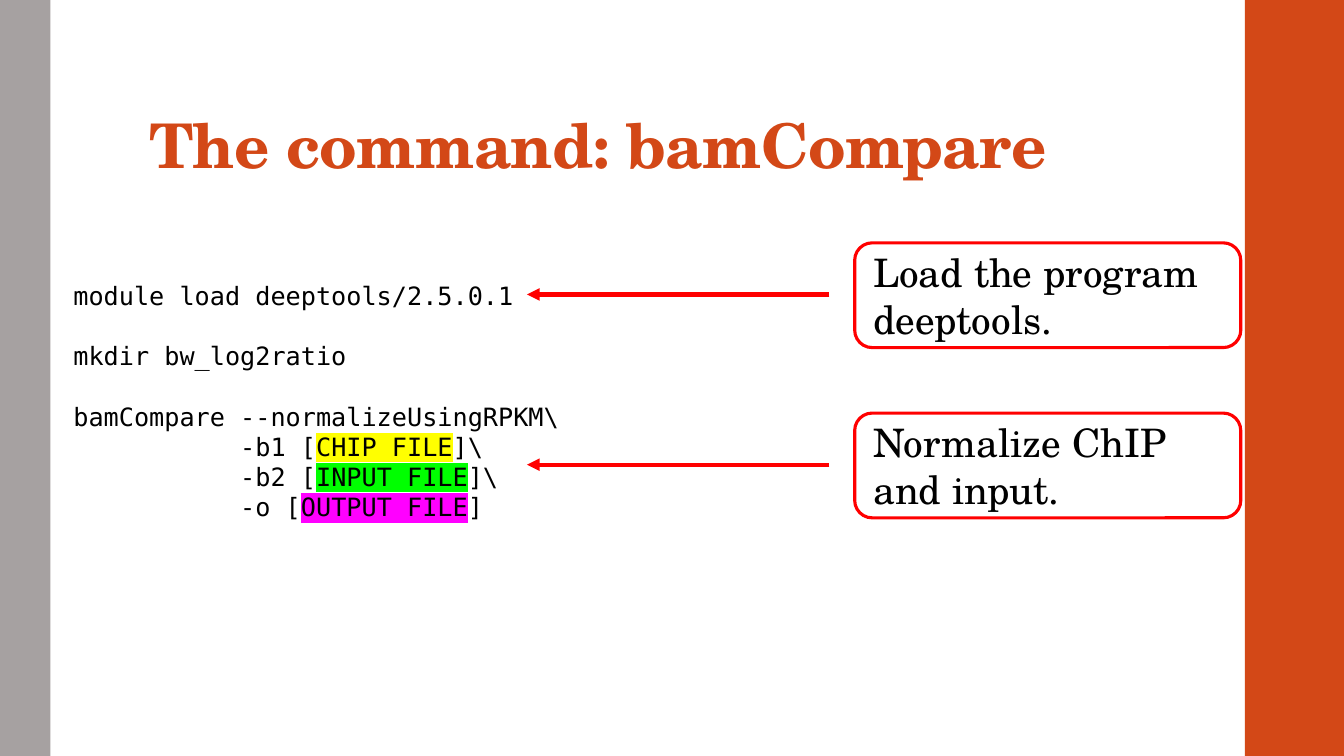
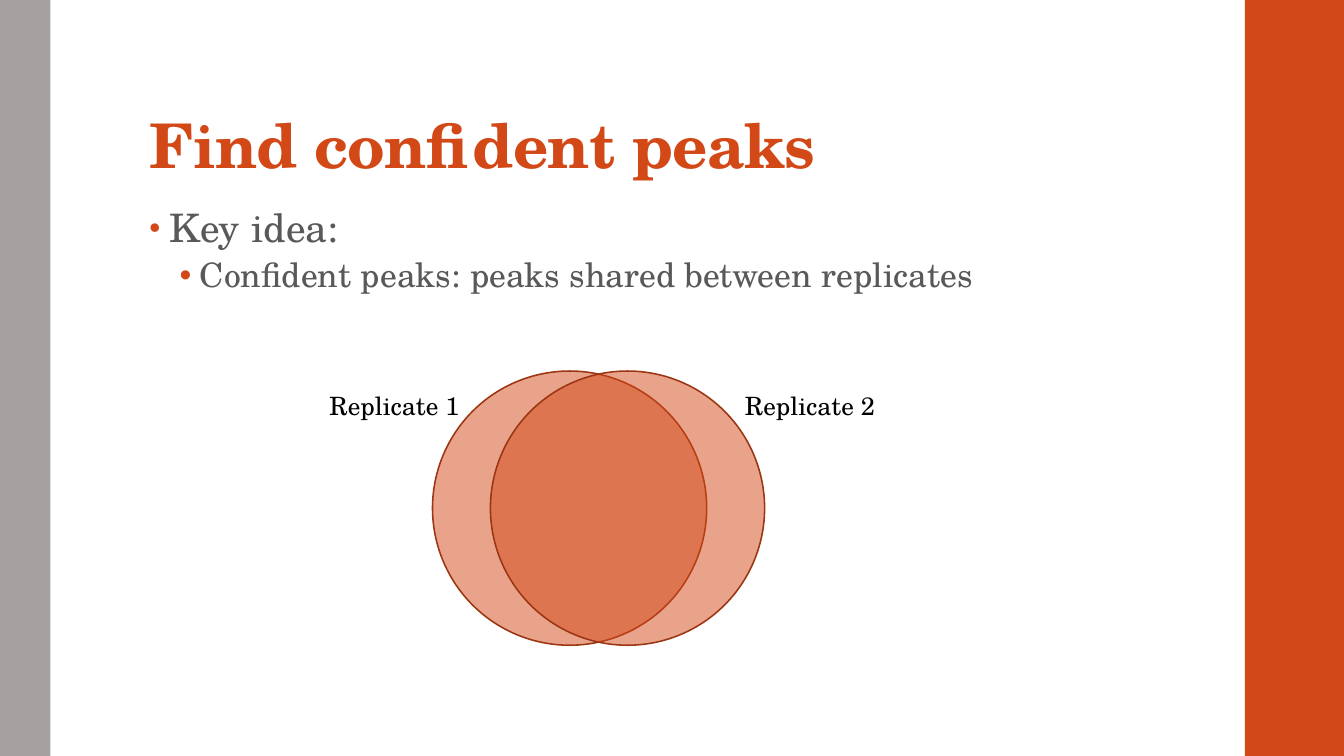
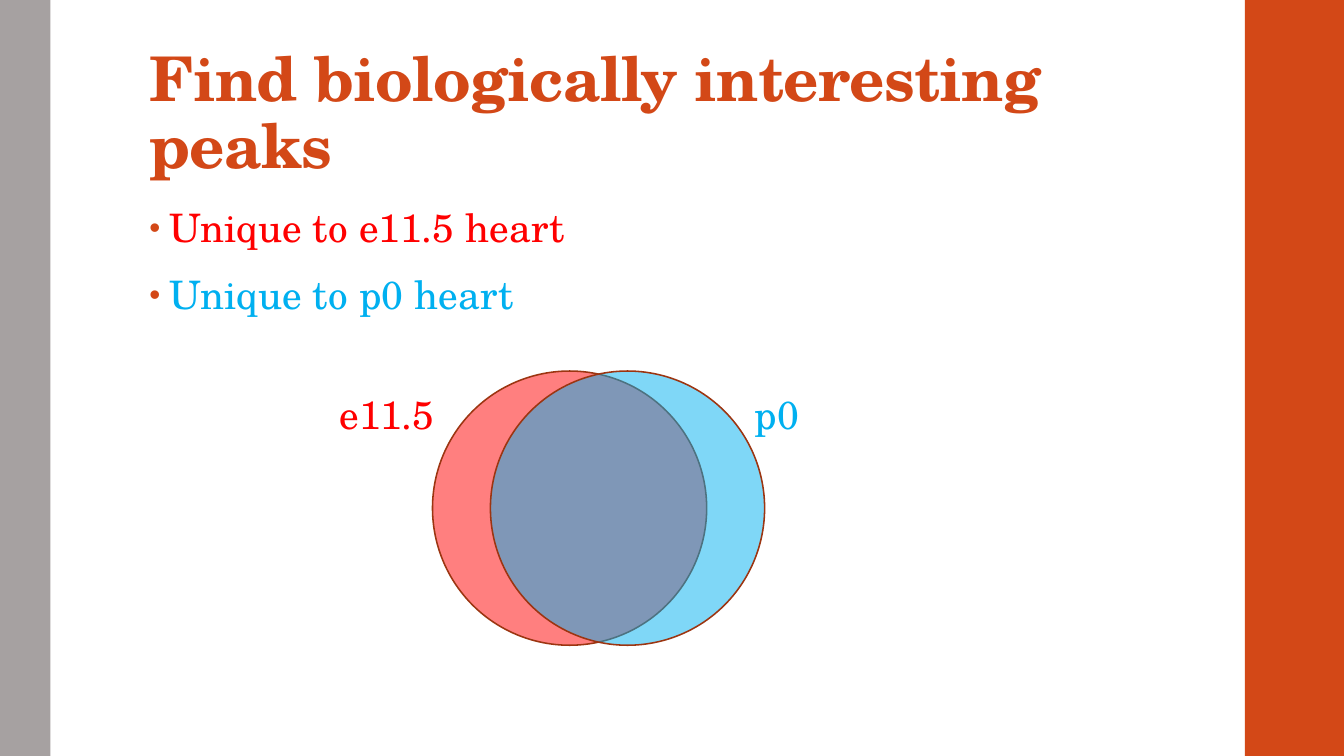
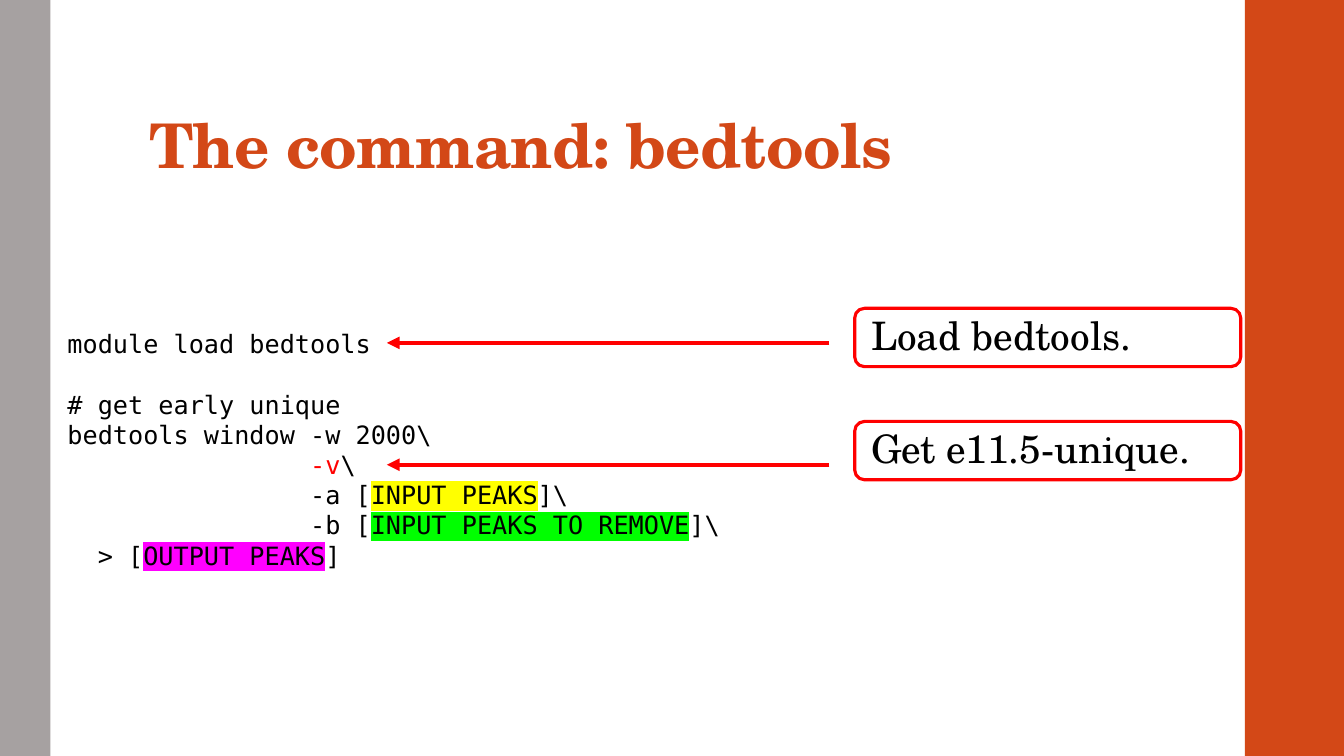
import pptx
import pptx.util
from pptx.util import Cm, Pt
from pptx.dml.color import RGBColor
from pptx.enum.shapes import MSO_CONNECTOR, MSO_SHAPE
from pptx.enum.text import MSO_ANCHOR, MSO_AUTO_SIZE, PP_ALIGN
from pptx.oxml.ns import qn
from lxml import etree

# Shared style
ORANGE = RGBColor(0xD3, 0x48, 0x17)
RUST = RGBColor(0x9C, 0x35, 0x11)
BAND_GRAY = RGBColor(0xA6, 0xA1, 0xA1)
TEXT_GRAY = RGBColor(0x59, 0x59, 0x59)
BLACK = RGBColor(0, 0, 0)
RED = RGBColor(0xFF, 0, 0)
BLUE = RGBColor(0, 0xB0, 0xF0)
YELLOW = RGBColor(0xFF, 0xFF, 0)
GREEN = RGBColor(0, 0xFF, 0)
MAGENTA = RGBColor(0xFF, 0, 0xFF)
SERIF = "TeX Gyre Schola"
MONO = "DejaVu Sans Mono"
WIDTH, HEIGHT = Cm(33.87), Cm(19.05)
CODE_LINE = Pt(21.6)

# Bands: left, width, colour
BANDS = [(Cm(31.37), Cm(2.54), ORANGE), (Cm(0), Cm(1.27), BAND_GRAY)]

# Bullet levels: left indent, line spacing, space before and after, size, bullet percent, tracking
LEVELS = [
    (Cm(0.51), 0.95, Pt(14), Pt(2), Pt(28), 80, 0.1),
    (Cm(1.27), 0.9, Pt(3), Pt(3), Pt(24), 100, 0),
]
HANGING = Cm(0.51)

# Content: a code line is a list of (text, highlight, colour) parts; an empty line is a gap
BAM_CODE = [
    [("module load deeptools/2.5.0.1",)],
    [],
    [("mkdir bw_log2ratio",)],
    [],
    [("bamCompare --normalizeUsingRPKM\\",)],
    [("           -b1 [",), ("CHIP FILE", YELLOW), ("]\\",)],
    [("           -b2 [",), ("INPUT FILE", GREEN), ("]\\",)],
    [("           -o [",), ("OUTPUT FILE", MAGENTA), ("]",)],
]
BED_CODE = [
    [("module load bedtools",)],
    [],
    [("# get early unique",)],
    [("bedtools window -w 2000\\",)],
    [("                ",), ("-v", None, RED), ("\\",)],
    [("                -a [",), ("INPUT PEAKS", YELLOW), ("]\\",)],
    [("                -b [",), ("INPUT PEAKS TO REMOVE", GREEN), ("]\\",)],
    [("  > [",), ("OUTPUT PEAKS", MAGENTA), ("]",)],
]
# Callouts: text, box top, arrow height
SLIDES = [
    {"title": "The command: bamCompare", "code": BAM_CODE,
     "code_box": (Cm(1.6), Cm(6.93), Cm(27.31), Cm(6.4)),
     "callout_height": Cm(2.64), "arrow_end": Cm(13.28),
     "callouts": [("Load the program deeptools.", Cm(6.12), Cm(7.42)),
                  ("Normalize ChIP and input.", Cm(10.41), Cm(11.71))]},
    {"title": "Find confident peaks",
     "bullets": [("Key idea:", 0, TEXT_GRAY),
                 ("Confident peaks: peaks shared between replicates", 1, TEXT_GRAY)],
     "circles": [ORANGE, ORANGE], "label_size": Pt(18),
     "labels": [("Replicate 1", Cm(8.05), BLACK), ("Replicate 2", Cm(18.52), BLACK)]},
    {"title": "Find biologically interesting peaks",
     "bullets": [("Unique to e11.5 heart", 0, RED), ("Unique to p0 heart", 0, BLUE)],
     "circles": [RED, BLUE], "label_size": Pt(28),
     "labels": [("e11.5", Cm(8.31), RED), ("p0", Cm(18.77), BLUE)]},
    {"title": "The command: bedtools", "code": BED_CODE,
     "code_box": (Cm(1.45), Cm(8.15), Cm(31.01), Cm(7.95)),
     "callout_height": Cm(1.47), "arrow_end": Cm(9.75),
     "callouts": [("Load bedtools.", Cm(7.77), Cm(8.64)),
                  ("Get e11.5-unique.", Cm(10.62), Cm(11.71))]},
]


def set_font(paragraph, name, size, color, bold=False):
    font = paragraph.font
    font.name, font.size, font.bold = name, size, bold
    font.color.rgb = color


def set_tracking(paragraph, points):
    for run in paragraph.runs:
        run._r.get_or_add_rPr().set("spc", str(round(points * 100)))


def place(shape, left, top, width, height):
    shape.left, shape.top, shape.width, shape.height = left, top, width, height


def add_plain_shape(slide, kind, left, top, width, height):
    shape = slide.shapes.add_shape(kind, left, top, width, height)
    shape.shadow.inherit = False
    return shape


def add_master_bands(presentation, slide):
    """Draw the bands, then move them to the back of the slide master."""
    tree = presentation.slide_master.element.cSld.spTree
    for number, (left, width, color) in enumerate(BANDS):
        band = add_plain_shape(slide, MSO_SHAPE.RECTANGLE, left, 0, width, HEIGHT)
        band.fill.solid()
        band.fill.fore_color.rgb = color
        band.line.fill.background()
        band.element.nvSpPr.cNvPr.set("id", str(20 + number))
        tree.insert(2 + number, band.element)


def fill_title(slide, text):
    title = slide.shapes.title
    place(title, Cm(3.51), Cm(0.81), Cm(26.92), Cm(3.89))
    frame = title.text_frame
    frame.text = text
    frame.word_wrap = True
    frame.auto_size = MSO_AUTO_SIZE.NONE
    frame.vertical_anchor = MSO_ANCHOR.BOTTOM
    frame.margin_left = frame.margin_right = Cm(0.25)
    frame.margin_top, frame.margin_bottom = Cm(0.08), Cm(0.13)
    paragraph = frame.paragraphs[0]
    paragraph.alignment = PP_ALIGN.LEFT
    paragraph.line_spacing = 0.9
    set_font(paragraph, SERIF, Pt(44), ORANGE, bold=True)
    set_tracking(paragraph, -0.5)


def set_bullet(paragraph, indent, percent):
    properties = paragraph._p.get_or_add_pPr()
    properties.set("marL", str(indent))
    properties.set("indent", str(-HANGING))
    color = etree.SubElement(properties, qn("a:buClr"))
    etree.SubElement(color, qn("a:srgbClr"), val=str(ORANGE))
    etree.SubElement(properties, qn("a:buSzPct"), val=str(percent * 1000))
    etree.SubElement(properties, qn("a:buFont"), typeface="Arial")
    etree.SubElement(properties, qn("a:buChar"), char="•")


def fill_bullets(slide, bullets):
    body = slide.placeholders[1]
    place(body, Cm(3.51), Cm(5.08), Cm(23.88), Cm(12.09))
    frame = body.text_frame
    frame.auto_size = MSO_AUTO_SIZE.NONE
    for index, (text, level, color) in enumerate(bullets):
        indent, spacing, before, after, size, percent, tracking = LEVELS[level]
        paragraph = frame.add_paragraph() if index else frame.paragraphs[0]
        paragraph.text = text
        paragraph.level = level
        set_bullet(paragraph, indent, percent)
        paragraph.line_spacing = spacing
        paragraph.space_before = before if index else Pt(0)
        paragraph.space_after = after
        set_font(paragraph, SERIF, size, color)
        set_tracking(paragraph, tracking)


def add_code(slide, lines, box):
    frame = slide.shapes.add_textbox(*box).text_frame
    frame.word_wrap = True
    paragraph, gap = None, False
    for parts in lines:
        if not parts:
            gap = True
            continue
        paragraph = frame.add_paragraph() if paragraph else frame.paragraphs[0]
        if gap:
            paragraph.space_before = CODE_LINE
            gap = False
        set_font(paragraph, MONO, Pt(18), BLACK)
        for text, *style in parts:
            run = paragraph.add_run()
            run.text = text
            highlight, color = (style + [None, None])[:2]
            if color is not None:
                run.font.color.rgb = color
            if highlight is not None:
                mark = etree.SubElement(run._r.get_or_add_rPr(), qn("a:highlight"))
                etree.SubElement(mark, qn("a:srgbClr"), val=str(highlight))


def add_callout(slide, text, top, height, arrow_y, arrow_end):
    # Outlined box with its text
    box = add_plain_shape(slide, MSO_SHAPE.ROUNDED_RECTANGLE, Cm(21.54), top, Cm(9.73), height)
    box.fill.background()
    box.line.color.rgb = RED
    box.line.width = Pt(2.25)
    frame = box.text_frame
    frame.word_wrap = True
    frame.vertical_anchor = MSO_ANCHOR.TOP
    frame.margin_left, frame.margin_right = Cm(0.34), Cm(0.1)
    frame.margin_top = frame.margin_bottom = 0
    frame.text = text
    paragraph = frame.paragraphs[0]
    paragraph.alignment = PP_ALIGN.LEFT
    set_font(paragraph, SERIF, Pt(28), BLACK)

    # Arrow to the code
    arrow = slide.shapes.add_connector(
        MSO_CONNECTOR.STRAIGHT, Cm(20.9), arrow_y, arrow_end, arrow_y)
    arrow.line.color.rgb = RED
    arrow.line.width = Pt(3)
    etree.SubElement(arrow.line._get_or_add_ln(), qn("a:tailEnd"), type="triangle")
    etree.SubElement(arrow.element.spPr, qn("a:effectLst"))


def add_venn(slide, colors, labels, label_size):
    diameter, step = Cm(6.91), Cm(1.46)
    for index, color in enumerate(colors):
        circle = add_plain_shape(
            slide, MSO_SHAPE.OVAL, Cm(10.9) + index * step, Cm(9.35), diameter, diameter)
        circle.fill.solid()
        circle.fill.fore_color.rgb = color
        fill = circle.element.spPr.find(qn("a:solidFill"))
        etree.SubElement(fill[0], qn("a:alpha"), val="50000")
        circle.line.color.rgb = RUST
        circle.line.width = Pt(1.1)
    for text, left, color in labels:
        label = slide.shapes.add_textbox(left, Cm(9.7), Cm(3.96), Cm(1.02))
        frame = label.text_frame
        frame.word_wrap = True
        frame.auto_size = MSO_AUTO_SIZE.SHAPE_TO_FIT_TEXT
        frame.text = text
        set_font(frame.paragraphs[0], SERIF, label_size, color)


def main():
    presentation = pptx.Presentation()
    presentation.slide_width, presentation.slide_height = WIDTH, HEIGHT
    for index, content in enumerate(SLIDES):
        # Title and Content for lists, Title Only for code
        layout = presentation.slide_layouts[1 if "bullets" in content else 5]
        slide = presentation.slides.add_slide(layout)
        if index == 0:
            add_master_bands(presentation, slide)
        fill_title(slide, content["title"])
        if "bullets" in content:
            fill_bullets(slide, content["bullets"])
            add_venn(slide, content["circles"], content["labels"], content["label_size"])
        else:
            add_code(slide, content["code"], content["code_box"])
            for text, top, arrow_y in content["callouts"]:
                add_callout(slide, text, top, content["callout_height"],
                            arrow_y, content["arrow_end"])
    presentation.save("out.pptx")


if __name__ == "__main__":
    main()
